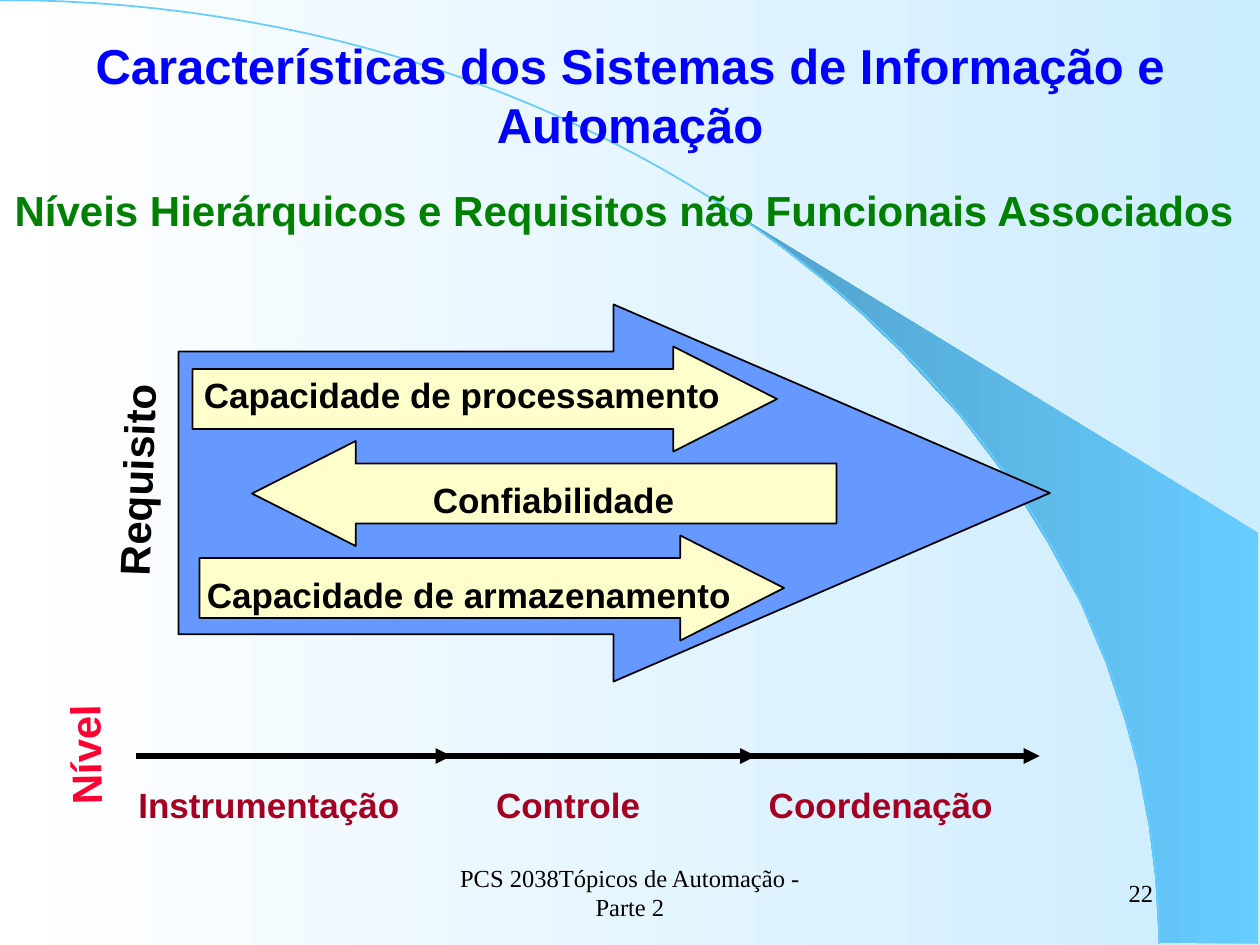
import pptx
import pptx.dml.color
import pptx.enum.dml
import pptx.enum.shapes
import pptx.enum.text
import pptx.oxml.ns
import pptx.util
from lxml import etree

Pt = pptx.util.Pt
ALIGN = pptx.enum.text.PP_ALIGN
ANCHOR = pptx.enum.text.MSO_ANCHOR
COLORS = {
    "black": "000000", "white": "FFFFFF", "pale": "CCECFF", "sky": "66CCFF",
    "sea": "51A2CB", "blue": "6699FF", "cream": "FFFFCC", "title": "0000FF",
    "green": "008000", "red": "FF0033", "wine": "A50021",
}
SWOOSH = [
    (662.4, 538.6), (719.3, 539.3), (719.3, 304.6), (424.1, 124.6), (449.3, 143.3),
    (470.2, 159.8), (493.2, 180), (515.5, 201.6), (548.6, 237.6), (578.2, 276.5),
    (599, 310.3), (617.8, 344.9), (632.2, 379.4), (643, 411.8), (650.2, 438.5),
    (656.6, 472.3), (660.2, 501.1),
]


def color(name):
    return pptx.dml.color.RGBColor.from_string(COLORS[name])


def write(frame, text, size=20, font="Arial", ink="black", bold=True, align=ALIGN.CENTER):
    para = frame.paragraphs[0]
    para.alignment = align
    span = para.add_run()
    span.text = text
    span.font.size = Pt(size)
    span.font.name = font
    span.font.bold = bold
    span.font.color.rgb = color(ink)


def blend(fill, first, last):
    fill.gradient()
    fill.gradient_angle = 180
    for stop, name, place in zip(fill.gradient_stops, (first, last), (0, 1)):
        stop.color.rgb = color(name)
        stop.position = place


def bezier(start, control1, control2, end, steps=60):
    for step in range(steps + 1):
        t = step / steps
        weights = ((1 - t) ** 3, 3 * t * (1 - t) ** 2, 3 * t * t * (1 - t), t ** 3)
        yield tuple(
            sum(w * v for w, v in zip(weights, axis))
            for axis in zip(start, control1, control2, end)
        )


class Painter:
    def __init__(self, page):
        self.page = page
        self.shapes = page.shapes

    def outline(self, points, closed):
        corners = [(Pt(x), Pt(y)) for x, y in points]
        builder = self.shapes.build_freeform(*corners[0], scale=1.0)
        builder.add_line_segments(corners[1:], close=closed)
        shape = builder.convert_to_shape()
        shape.shadow.inherit = False
        return shape

    def swoosh(self, points):
        shape = self.outline(points, True)
        blend(shape.fill, "sky", "sea")
        shape.line.fill.background()

    def curve(self, points):
        shape = self.outline(points, False)
        shape.fill.background()
        shape.line.color.rgb = color("sky")
        shape.line.width = Pt(1)

    def block_arrow(self, left, top, width, height, fill, adjust, rotation=0):
        kind = pptx.enum.shapes.MSO_SHAPE.RIGHT_ARROW
        shape = self.shapes.add_shape(kind, Pt(left), Pt(top), Pt(width), Pt(height))
        shape.shadow.inherit = False
        shape.adjustments[0], shape.adjustments[1] = adjust
        shape.rotation = rotation
        shape.fill.solid()
        shape.fill.fore_color.rgb = color(fill)
        shape.line.color.rgb = color("black")
        shape.line.width = Pt(1)

    def small_arrow(self, left, top, rotation=0):
        self.block_arrow(left, top, 334, 60, "cream", (0.571, 0.987), rotation)

    def text(self, text, left, top, width, height, rotation=0, wrap=False,
             anchor=ANCHOR.TOP, **style):
        box = self.shapes.add_textbox(Pt(left), Pt(top), Pt(width), Pt(height))
        box.rotation = rotation
        box.text_frame.word_wrap = wrap
        box.text_frame.vertical_anchor = anchor
        write(box.text_frame, text, **style)

    def axis(self, start, end, y):
        kind = pptx.enum.shapes.MSO_CONNECTOR.STRAIGHT
        line = self.shapes.add_connector(kind, Pt(start), Pt(y), Pt(end), Pt(y))
        line.line.color.rgb = color("black")
        line.line.width = Pt(3)
        qn = pptx.oxml.ns.qn
        etree.SubElement(line.line._get_or_add_ln(), qn("a:tailEnd"), type="triangle")
        etree.SubElement(line._element.spPr, qn("a:effectLst"))


def main():
    deck = pptx.Presentation()
    deck.slide_width, deck.slide_height = Pt(720), Pt(540)
    page = deck.slides.add_slide(deck.slide_layouts[6])
    blend(page.background.fill, "pale", "white")
    painter = Painter(page)

    painter.swoosh(SWOOSH)
    painter.curve(bezier((0, 0), (365.8, 0), (662.4, 241.2), (662.4, 539.3)))
    painter.block_arrow(102, 174, 498, 215.5, "blue", (0.75, 1.157))
    painter.text("Níveis Hierárquicos e Requisitos não Funcionais Associados ",
                 0, 90, 720, 60, wrap=True, anchor=ANCHOR.MIDDLE, size=24, ink="green")
    painter.text("Requisito", 16, 256.3, 123.8, 36, rotation=272, size=24)
    painter.text("Nível", 12.3, 413.3, 72, 36, rotation=269, size=24, ink="red")

    for start, end in ((78, 258), (252, 432), (426, 594)):
        painter.axis(start, end, 432)
    for level, left, width in (("Instrumentação", 72, 163.4), ("Controle", 276, 97.2),
                               ("Coordenação", 432, 142.6)):
        painter.text(level, left, 444, width, 31, ink="wine")

    painter.small_arrow(110, 198)
    painter.text("Capacidade de processamento", 108, 210, 312, 31, wrap=True)
    painter.text("Características dos Sistemas de Informação e Automação",
                 0, 24, 720, 60, wrap=True, anchor=ANCHOR.MIDDLE, size=28, ink="title")
    painter.small_arrow(114, 306)
    painter.text("Capacidade de armazenamento", 111, 324, 314, 31)
    painter.small_arrow(144, 252, rotation=180)
    painter.text("Confiabilidade", 240, 270, 152.6, 31)

    footer = dict(wrap=True, anchor=ANCHOR.MIDDLE, size=14, font="Times New Roman", bold=False)
    painter.text("PCS 2038Tópicos de Automação - Parte 2", 246, 492, 228, 36, **footer)
    painter.text("22", 516, 492, 150, 36, align=ALIGN.RIGHT, **footer)
    deck.save("out.pptx")


if __name__ == "__main__":
    main()
